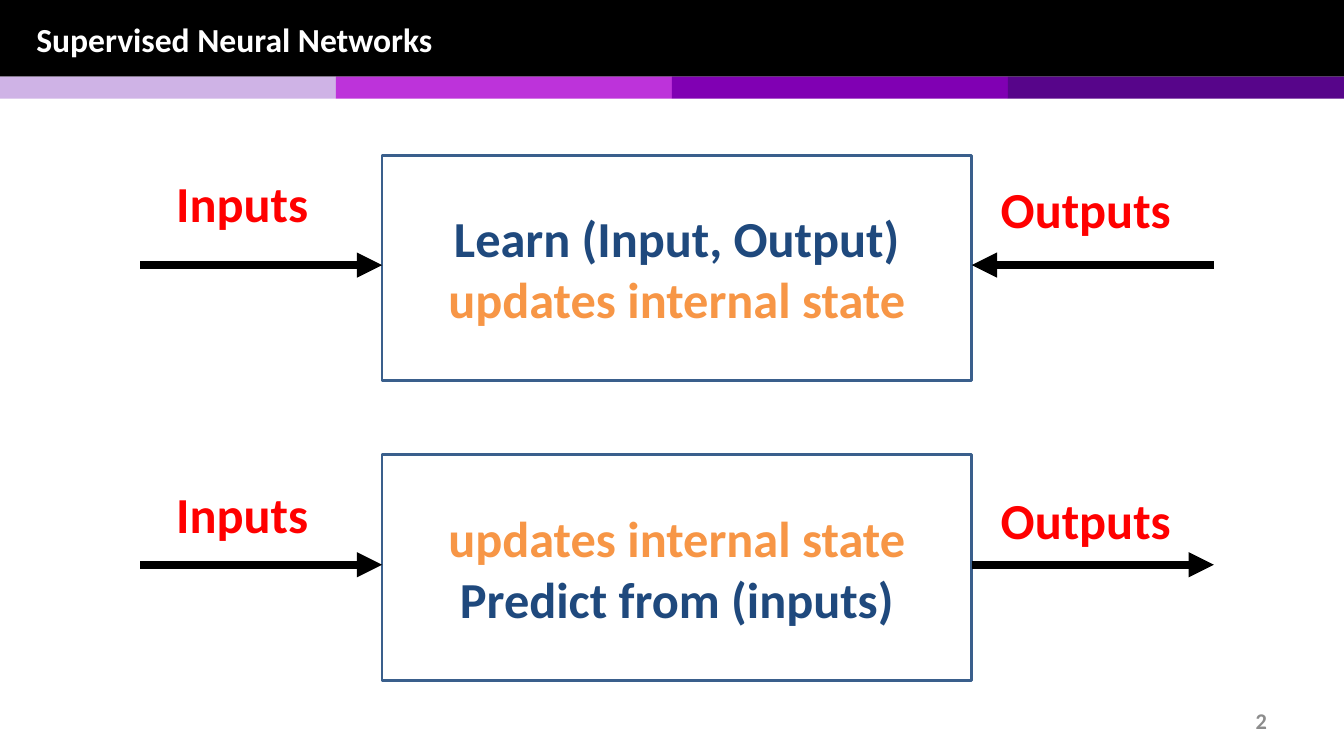
"""Builds the slide on supervised neural networks: learning and prediction."""
from lxml import etree
from pptx import Presentation
from pptx.dml.color import RGBColor
from pptx.enum.shapes import MSO_CONNECTOR, MSO_SHAPE
from pptx.enum.text import MSO_ANCHOR, MSO_AUTO_SIZE, PP_ALIGN
from pptx.oxml.ns import qn
from pptx.util import Cm, Pt

RECTANGLE = MSO_SHAPE.RECTANGLE
STRAIGHT = MSO_CONNECTOR.STRAIGHT
MIDDLE = MSO_ANCHOR.MIDDLE
NO_AUTOSIZE = MSO_AUTO_SIZE.NONE
LEFT, CENTER, RIGHT = PP_ALIGN.LEFT, PP_ALIGN.CENTER, PP_ALIGN.RIGHT

BLACK, WHITE, GREY, RED = "000000", "FFFFFF", "8C8C8C", "FF0000"
NAVY, ORANGE, BOX_LINE = "1F497D", "F79646", "3A5F8C"
BAND_COLOURS = ["CFB3E6", "BD33DA", "8000B3", "57058A"]

PAGE_WIDTH, HEADER_HEIGHT, BAND_HEIGHT = 33.87, 1.93, 0.56
BAND_WIDTH = PAGE_WIDTH / len(BAND_COLOURS)
BOX_LEFT, BOX_WIDTH, BOX_HEIGHT = 9.63, 14.86, 5.69
BOX_RIGHT = BOX_LEFT + BOX_WIDTH
ARROW_LENGTH, ARROW_DROP = 6.1, 2.77


def colour(value):
    return RGBColor.from_string(value)


def write(shape, lines, size, align):
    frame = shape.text_frame
    frame.word_wrap = True
    frame.auto_size = NO_AUTOSIZE
    frame.text = "\n".join(text for text, _ in lines)
    for para, (_, text_colour) in zip(frame.paragraphs, lines):
        para.alignment = align
        font = para.runs[0].font
        font.name, font.size, font.bold = "Calibri", Pt(size), True
        font.color.rgb = colour(text_colour)


deck = Presentation()
deck.slide_width, deck.slide_height = Cm(PAGE_WIDTH), Cm(19.05)
page = deck.slides.add_slide(deck.slide_layouts[5])
shapes = page.shapes

bars = [(0, 0, PAGE_WIDTH, HEADER_HEIGHT, BLACK)]
for index, band_colour in enumerate(BAND_COLOURS):
    bars.append((index * BAND_WIDTH, HEADER_HEIGHT, BAND_WIDTH, BAND_HEIGHT, band_colour))
for left, top, width, height, bar_colour in bars:
    bar = shapes.add_shape(RECTANGLE, Cm(left), Cm(top), Cm(width), Cm(height))
    bar.shadow.inherit = False
    bar.fill.solid()
    bar.fill.fore_color.rgb = colour(bar_colour)
    bar.line.fill.background()

title = shapes.title
bar._element.addnext(title._element)
title.left, title.top, title.width, title.height = Cm(0.66), Cm(0.03), Cm(32.56), Cm(1.9)
write(title, [("Supervised Neural Networks", WHITE)], 24, LEFT)
title.text_frame.vertical_anchor = MIDDLE

number = shapes.add_textbox(Cm(24.28), Cm(17.65), Cm(7.9), Cm(1.02))
write(number, [("2", GREY)], 16, RIGHT)
number.text_frame.vertical_anchor = MIDDLE

update = ("updates internal state", ORANGE)
stages = [
    (3.91, 0.31, [("Learn (Input, Output)", NAVY), update], True),
    (11.46, 0.58, [update, ("Predict from (inputs)", NAVY)], False),
]
for top, label_drop, lines, outputs_enter in stages:
    box = shapes.add_shape(RECTANGLE, Cm(BOX_LEFT), Cm(top), Cm(BOX_WIDTH), Cm(BOX_HEIGHT))
    box.shadow.inherit = False
    box.fill.background()
    box.line.color.rgb = colour(BOX_LINE)
    box.line.width = Pt(2)
    write(box, lines, 36, CENTER)
    box.text_frame.vertical_anchor = MIDDLE

    output_ends = [BOX_RIGHT, BOX_RIGHT + ARROW_LENGTH]
    if outputs_enter:
        output_ends.reverse()
    arrow_y = Cm(top + ARROW_DROP)
    for start, end in [(BOX_LEFT - ARROW_LENGTH, BOX_LEFT), output_ends]:
        arrow = shapes.add_connector(STRAIGHT, Cm(start), arrow_y, Cm(end), arrow_y)
        arrow.line.color.rgb = colour(BLACK)
        arrow.line.width = Pt(6)
        etree.SubElement(arrow.line._get_or_add_ln(), qn("a:tailEnd"), type="triangle")
        etree.SubElement(arrow._element.spPr, qn("a:effectLst"))

    label_top = top + label_drop
    for text, left, label_y, width in [
        ("Inputs", 4.19, label_top, 4.19),
        ("Outputs", 24.97, label_top + 0.15, 5.16),
    ]:
        label = shapes.add_textbox(Cm(left), Cm(label_y), Cm(width), Cm(1.8))
        write(label, [(text, RED)], 36, LEFT)

deck.save("out.pptx")
